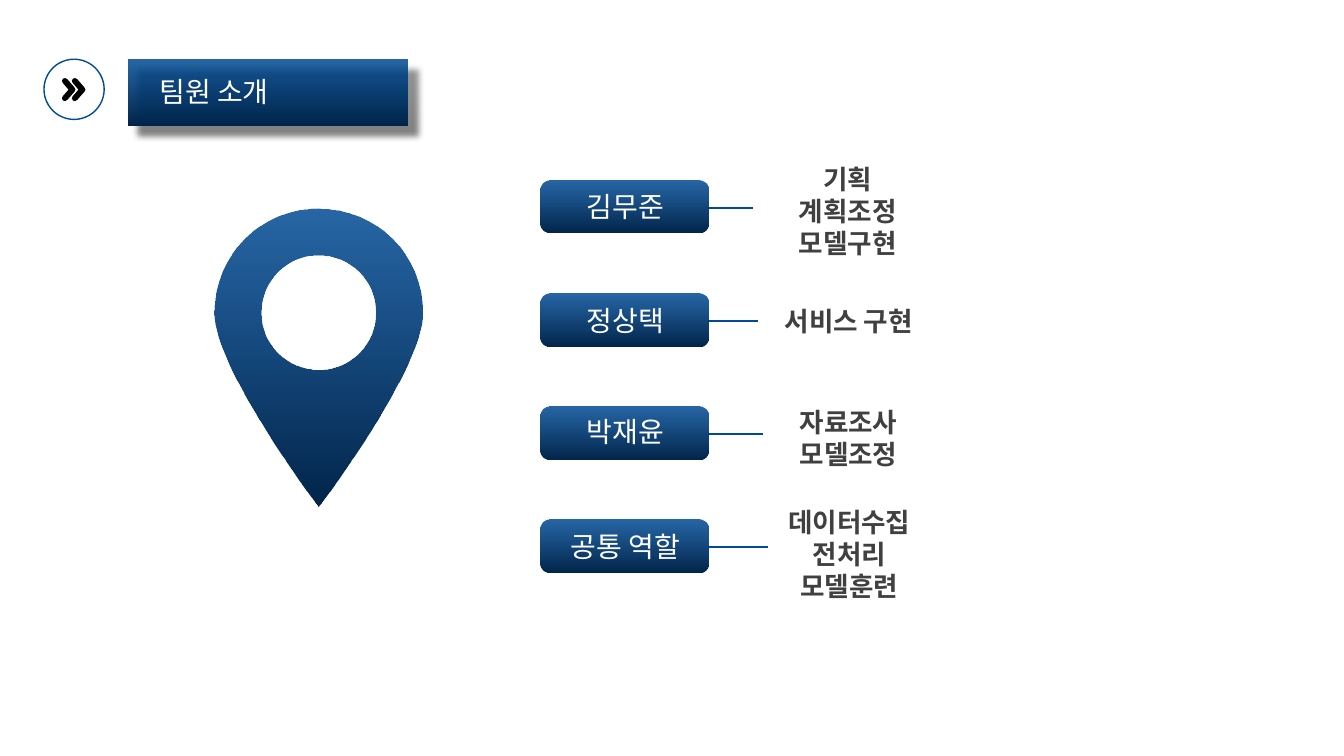
from lxml import etree
from pptx import Presentation
from pptx.dml.color import RGBColor
from pptx.enum.shapes import MSO_CONNECTOR, MSO_SHAPE
from pptx.enum.text import MSO_ANCHOR, MSO_AUTO_SIZE, PP_ALIGN
from pptx.oxml.ns import qn
from pptx.util import Pt

RECTANGLE, ROUNDED, OVAL = MSO_SHAPE.RECTANGLE, MSO_SHAPE.ROUNDED_RECTANGLE, MSO_SHAPE.OVAL
STRAIGHT = MSO_CONNECTOR.STRAIGHT
JUSTIFY, CENTER = PP_ALIGN.JUSTIFY, PP_ALIGN.CENTER
TOP, MIDDLE = MSO_ANCHOR.TOP, MSO_ANCHOR.MIDDLE
FIT_SHAPE = MSO_AUTO_SIZE.SHAPE_TO_FIT_TEXT

BLUE, NAVY, GREY, BLACK, WHITE = "004B95", "00254A", "404040", "000000", "FFFFFF"
FONT = "Arial"

# Name, top of the name, roles, then left, top and width of the roles
MEMBERS = [
    ("김무준", 138.4, ["기획", "계획조정", "모델구현"], 531.4, 116.2, 148.3),
    ("정상택", 219.8, ["서비스 구현"], 486, 217.7, 240.5),
    ("박재윤", 299, ["자료조사", "모델조정"], 518.6, 289.7, 175),
    ("공통 역할", 381, ["데이터수집", "전처리", "모델훈련"], 514.2, 361.6, 185),
]
BUTTON_LEFT, BUTTON_TOP, BUTTON_WIDTH, BUTTON_HEIGHT = 386, 128.9, 119.8, 37.5
LINE_TOP, ROW_PITCH = 148.3, 80.8
NAME_LEFT, NAME_WIDTH, NAME_HEIGHT = 397.1, 99.4, 21.6
ROLE_LINE = 23

# Each step is an end point, or two control points and an end point
CHEVRON = [
    [(48.2, 71.3)],
    [(53.3, 65.5)],
    [(54.2, 64.6), (54.2, 63.4), (53.3, 62.6)],
    [(48.2, 56.7)],
    [(47.3, 55.6), (46, 55.6), (45.1, 56.2)],
    [(44.1, 57), (44, 58.3), (44.8, 59.2)],
    [(49, 64.1)],
    [(44.8, 68.9)],
    [(44, 69.8), (44.1, 71.1), (45.1, 71.9)],
    [(46, 72.5), (47.3, 72.5), (48.2, 71.3)],
]
CHEVRON_GAP = 7.1
ARC = 0.5523  # control length of a quarter circle of radius 1


def color(value):
    return RGBColor.from_string(value)


def circle_steps(x, y, radius):
    k = ARC * radius
    return [
        [(x - radius, y)],
        [(x - radius, y - k), (x - k, y - radius), (x, y - radius)],
        [(x + k, y - radius), (x + radius, y - k), (x + radius, y)],
        [(x + radius, y + k), (x + k, y + radius), (x, y + radius)],
        [(x - k, y + radius), (x - radius, y + k), (x - radius, y)],
    ]


def add_outline(page, contours):
    """Draw all points as lines, then merge each triple of a curve into one Bézier."""
    builder = None
    for steps in contours:
        points = [(Pt(x), Pt(y)) for step in steps for x, y in step]
        if builder is None:
            builder = page.shapes.build_freeform(*points[0])
        else:
            builder.move_to(*points[0])
        builder.add_line_segments(points[1:], close=True)
    shape = builder.convert_to_shape()
    shape.shadow.inherit = False
    shape.line.fill.background()

    segments = iter(list(shape._element.spPr.iter(qn("a:lnTo"))))
    for step in [step for steps in contours for step in steps[1:]]:
        first, *others = [next(segments) for _ in step]
        if others:
            curve = etree.Element(qn("a:cubicBezTo"))
            first.addprevious(curve)
            for segment in (first, *others):
                curve.append(segment[0])
                segment.getparent().remove(segment)
    return shape


def add_box(page, kind, left, top, width, height):
    box = page.shapes.add_shape(kind, Pt(left), Pt(top), Pt(width), Pt(height))
    box.shadow.inherit = False
    box.line.fill.background()
    return box


def fill_gradient(shape):
    """Fade from translucent blue at the top to navy."""
    shape.fill.gradient()
    shape.fill.gradient_angle = 270
    for stop, value, position in zip(shape.fill.gradient_stops, (BLUE, NAVY), (0, 1)):
        stop.color.rgb = color(value)
        stop.position = position
    top_color = shape._element.spPr.find(".//" + qn("a:srgbClr"))
    etree.SubElement(top_color, qn("a:alpha"), val="85000")


def add_shadow(shape):
    effects = shape._element.spPr.find(qn("a:effectLst"))
    shadow = etree.SubElement(effects, qn("a:outerShdw"), blurRad=str(Pt(4.5)),
                              dist=str(Pt(10.5)), dir=str(46 * 60000),
                              algn="tl", rotWithShape="0")
    shade = etree.SubElement(shadow, qn("a:srgbClr"), val=BLACK)
    etree.SubElement(shade, qn("a:alpha"), val="50000")


def add_text(page, lines, left, top, width, height, size, value,
             align=CENTER, anchor=MIDDLE, bold=False, spacing=None):
    box = page.shapes.add_textbox(Pt(left), Pt(top), Pt(width), Pt(height))
    frame = box.text_frame
    frame.word_wrap = True
    frame.auto_size = FIT_SHAPE
    frame.vertical_anchor = anchor
    frame.margin_left = frame.margin_right = frame.margin_top = frame.margin_bottom = 0
    frame.text = "\n".join(lines)
    for para in frame.paragraphs:
        para.alignment = align
        para.line_spacing = spacing
        para.font.name = FONT
        para.font.size = Pt(size)
        para.font.bold = bold
        para.font.color.rgb = color(value)


def add_line(page, start, end, y):
    line = page.shapes.add_connector(STRAIGHT, Pt(start), Pt(y), Pt(end), Pt(y))
    line.line.color.rgb = color(BLUE)
    line.line.width = Pt(1.5)
    etree.SubElement(line._element.spPr, qn("a:effectLst"))


def add_pin(page, x, y, radius, hole_radius, tip):
    bend = y + 40.5
    head = circle_steps(x, y, radius)[:3]
    point = [[(x + radius, bend), (x, tip), (x, tip)],
             [(x, tip), (x - radius, bend), (x - radius, y)]]
    fill_gradient(add_outline(page, [circle_steps(x, y, hole_radius), head + point]))


def add_header(page, title):
    bar = add_box(page, RECTANGLE, 91.5, 42.3, 199.7, 47.7)
    fill_gradient(bar)
    add_shadow(bar)
    add_text(page, [title], 113.8, 56.2, 151.2, 21.6, 20, WHITE, align=JUSTIFY, spacing=0.9)

    shifted = [[(x + CHEVRON_GAP, y) for x, y in step] for step in CHEVRON]
    arrows = add_outline(page, [CHEVRON, shifted])
    arrows.fill.solid()
    arrows.fill.fore_color.rgb = color(BLACK)

    ring = add_box(page, OVAL, 31.4, 42.3, 43, 43)
    ring.fill.background()
    ring.line.color.rgb = color(BLUE)
    ring.line.width = Pt(1)


def add_member(page, row, name, name_top, roles, role_left, role_top, role_width):
    shift = row * ROW_PITCH
    add_line(page, 537.8 + 3.6 * row, BUTTON_LEFT + BUTTON_WIDTH, LINE_TOP + shift)
    button = add_box(page, ROUNDED, BUTTON_LEFT, BUTTON_TOP + shift,
                     BUTTON_WIDTH, BUTTON_HEIGHT)
    fill_gradient(button)
    add_text(page, roles, role_left, role_top, role_width, ROLE_LINE * len(roles),
             19, GREY, anchor=TOP, bold=True)
    add_text(page, [name], NAME_LEFT, name_top, NAME_WIDTH, NAME_HEIGHT,
             20, WHITE, spacing=0.9)


def main():
    deck = Presentation()
    deck.slide_width, deck.slide_height = Pt(960), Pt(540)
    page = deck.slides.add_slide(deck.slide_layouts[6])
    add_pin(page, x=227.6, y=223.4, radius=74.2, hole_radius=40.8, tip=361.6)
    add_header(page, "팀원 소개")
    for row, member in enumerate(MEMBERS):
        add_member(page, row, *member)
    deck.save("out.pptx")


if __name__ == "__main__":
    main()
